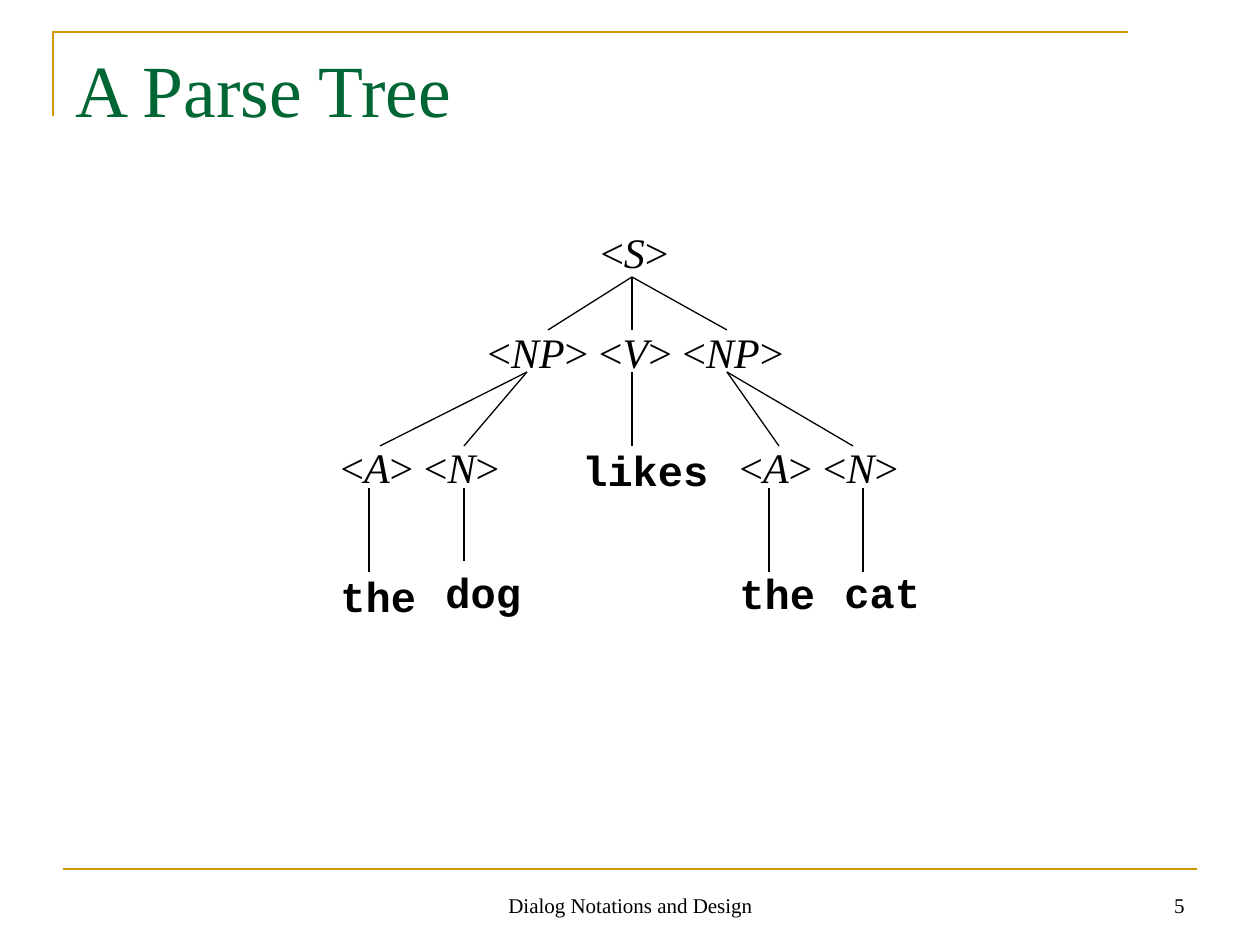
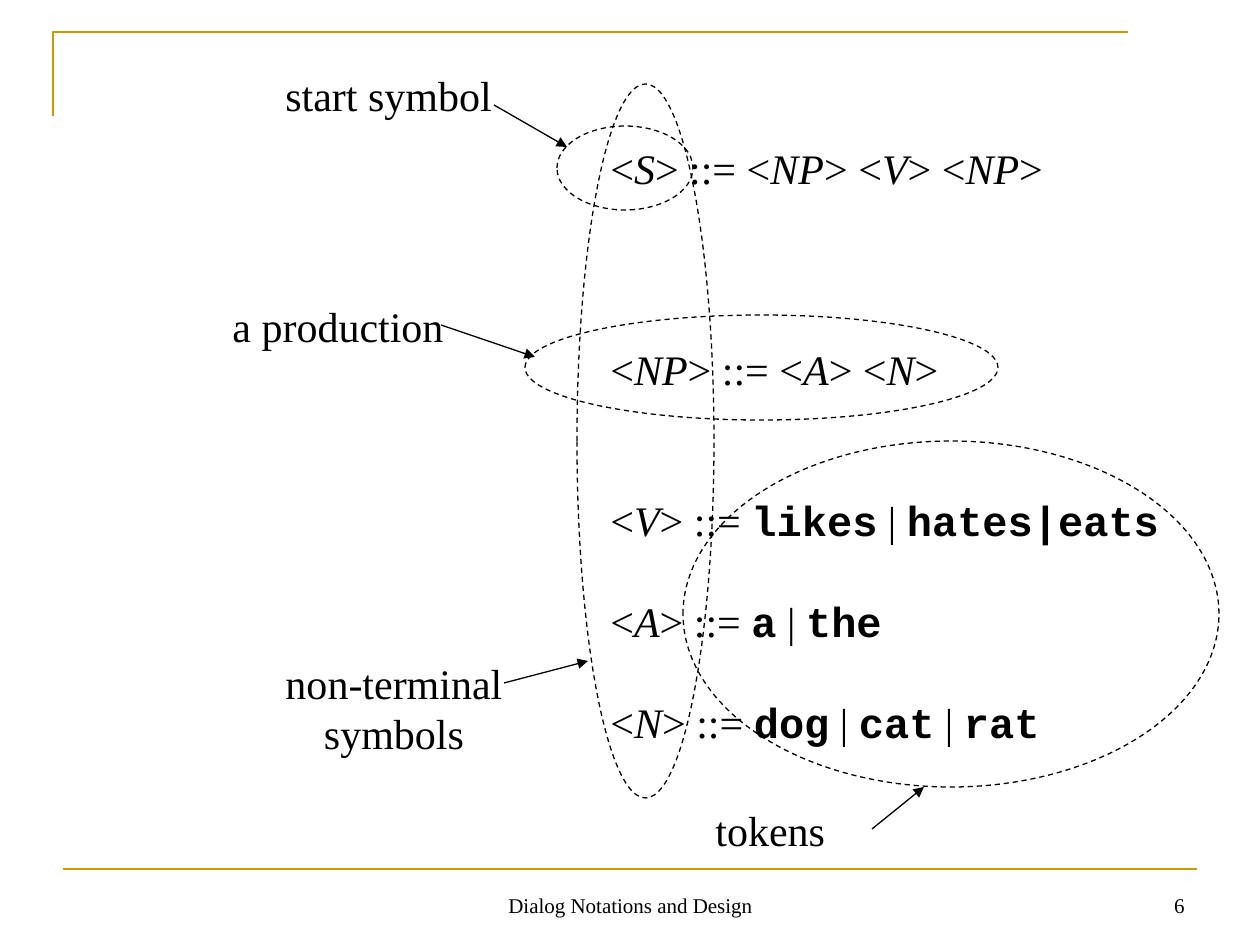
from pptx import Presentation
from pptx.dml.color import RGBColor
from pptx.enum.dml import MSO_LINE
from pptx.enum.shapes import MSO_CONNECTOR, MSO_SHAPE
from pptx.enum.text import MSO_ANCHOR, PP_ALIGN
from pptx.oxml.ns import qn
from pptx.util import Pt
from lxml import etree

STRAIGHT = MSO_CONNECTOR.STRAIGHT
OVAL = MSO_SHAPE.OVAL
DASH = MSO_LINE.DASH
TOP, BOTTOM = MSO_ANCHOR.TOP, MSO_ANCHOR.BOTTOM
LEFT, CENTER, RIGHT = PP_ALIGN.LEFT, PP_ALIGN.CENTER, PP_ALIGN.RIGHT

PX = 914400 / 126
GOLD, GREEN, BLACK = "CC9900", "006633", "000000"
SERIF, MONO = "Times New Roman", "Courier New"
LEADING = 1.2


def add_text(slide, box, lines, size=24, color=BLACK, align=LEFT,
             anchor=TOP, wrap=False, blank_lines=None):
    """Write lines in which _x_ is italic and `x` is a bold token."""
    frame = slide.shapes.add_textbox(*[round(v * PX) for v in box]).text_frame
    frame.word_wrap = wrap
    frame.vertical_anchor = anchor
    for i, line in enumerate(lines):
        paragraph = frame.paragraphs[0] if i == 0 else frame.add_paragraph()
        paragraph.alignment = align
        paragraph.line_spacing = Pt(size * LEADING)
        if blank_lines and i:
            paragraph.space_before = Pt(size * LEADING * blank_lines[i])
        for j, part in enumerate(line.split("_")):
            for k, piece in enumerate(part.split("`")):
                if not piece:
                    continue
                run = paragraph.add_run()
                run.text = piece
                run.font.size = Pt(size)
                run.font.color.rgb = RGBColor.from_string(color)
                run.font.name = MONO if k % 2 else SERIF
                run.font.bold = k % 2 == 1
                run.font.italic = j % 2 == 1


def add_line(slide, start, end, color=BLACK, width=0.75, arrow=False):
    ends = [round(v * PX) for v in (*start, *end)]
    line = slide.shapes.add_connector(STRAIGHT, *ends)
    line.line.color.rgb = RGBColor.from_string(color)
    line.line.width = Pt(width)
    if arrow:
        etree.SubElement(line.line._get_or_add_ln(), qn("a:tailEnd"), type="triangle")
    etree.SubElement(line._element.spPr, qn("a:effectLst"))


prs = Presentation()
prs.slide_width, prs.slide_height = round(1260 * PX), round(945 * PX)
blank = prs.slide_layouts[6]
tree_slide, grammar_slide = [prs.slides.add_slide(blank) for _ in range(2)]

# Shared frame, footer and page number
for number, slide in enumerate((tree_slide, grammar_slide), start=5):
    builder = slide.shapes.build_freeform(53, 116, scale=PX)
    builder.add_line_segments([(53, 32), (1128, 32)], close=False)
    corner = builder.convert_to_shape()
    corner.shadow.inherit = False
    corner.fill.background()
    corner.line.color.rgb = RGBColor.from_string(GOLD)
    corner.line.width = Pt(1.5)
    add_line(slide, (63, 869), (1197, 869), GOLD, 1.5)
    add_text(slide, (903, 861, 294, 63), [str(number)], 12,
             align=RIGHT, anchor=BOTTOM, wrap=True)
    add_text(slide, (431, 861, 399, 63), ["Dialog Notations and Design"], 12,
             align=CENTER, anchor=BOTTOM, wrap=True)

# Parse tree: title and nodes
add_text(tree_slide, (63, 38, 1134, 158), ["A Parse Tree"], 42, GREEN, wrap=True)
nodes = [
    (588, 220, 100, "<_S_>"),
    (475, 320, 321, "<_NP_> <_V_> <_NP_>"),
    (727, 435, 184, "<_A_> <_N_>"),
    (328, 435, 184, "<_A_> <_N_>"),
    (328, 564, 101, "`the`"),
    (433, 560, 101, "`dog`"),
    (727, 561, 101, "`the`"),
    (832, 560, 101, "`cat`"),
    (570, 438, 151, "`likes`"),
]
for left, top, width, node in nodes:
    add_text(tree_slide, (left, top, width, 63), [node])

# Parse tree: branches from each parent to its children
branches = {
    (632, 277): [(548, 330), (632, 330), (727, 330)],
    (527, 372): [(380, 446), (464, 446)],
    (632, 372): [(632, 446)],
    (727, 372): [(779, 446), (853, 446)],
    (369, 488): [(369, 572)],
    (464, 488): [(464, 561)],
    (769, 488): [(769, 572)],
    (863, 488): [(863, 572)],
}
for parent, children in branches.items():
    for child in children:
        add_line(tree_slide, parent, child)

# Grammar productions
productions = [
    "<_S_> ::= <_NP_> <_V_> <_NP_>",
    "<_NP_> ::= <_A_> <_N_>",
    "<_V_> ::= `likes` | `hates|eats`",
    "<_A_> ::= `a` | `the`",
    "<_N_> ::= `dog` | `cat` | `rat`",
]
add_text(grammar_slide, (598, 136, 588, 617), productions, wrap=True,
         blank_lines=[0, 3, 2, 1, 1])

# Grammar annotations: ring, label box, label lines, arrow
annotations = [
    ((683, 441, 536, 346), (703, 798, 135, 63), ["tokens"],
     (872, 829), (924, 787)),
    ((577, 84, 137, 714), (273, 651, 242, 113), ["non-terminal", "symbols"],
     (504, 683), (588, 661)),
    ((525, 315, 473, 105), (220, 294, 236, 63), ["a production"],
     (441, 325), (535, 357)),
    ((557, 126, 136, 84), (273, 63, 232, 63), ["start symbol"],
     (494, 105), (567, 147)),
]
for ring_box, label_box, label, tail, tip in annotations:
    ring = grammar_slide.shapes.add_shape(OVAL, *[round(v * PX) for v in ring_box])
    ring.shadow.inherit = False
    ring.fill.background()
    ring.line.color.rgb = RGBColor.from_string(BLACK)
    ring.line.width = Pt(0.75)
    ring.line.dash_style = DASH
    add_text(grammar_slide, label_box, label, align=CENTER if len(label) > 1 else LEFT)
    add_line(grammar_slide, tail, tip, arrow=True)

prs.save("out.pptx")
